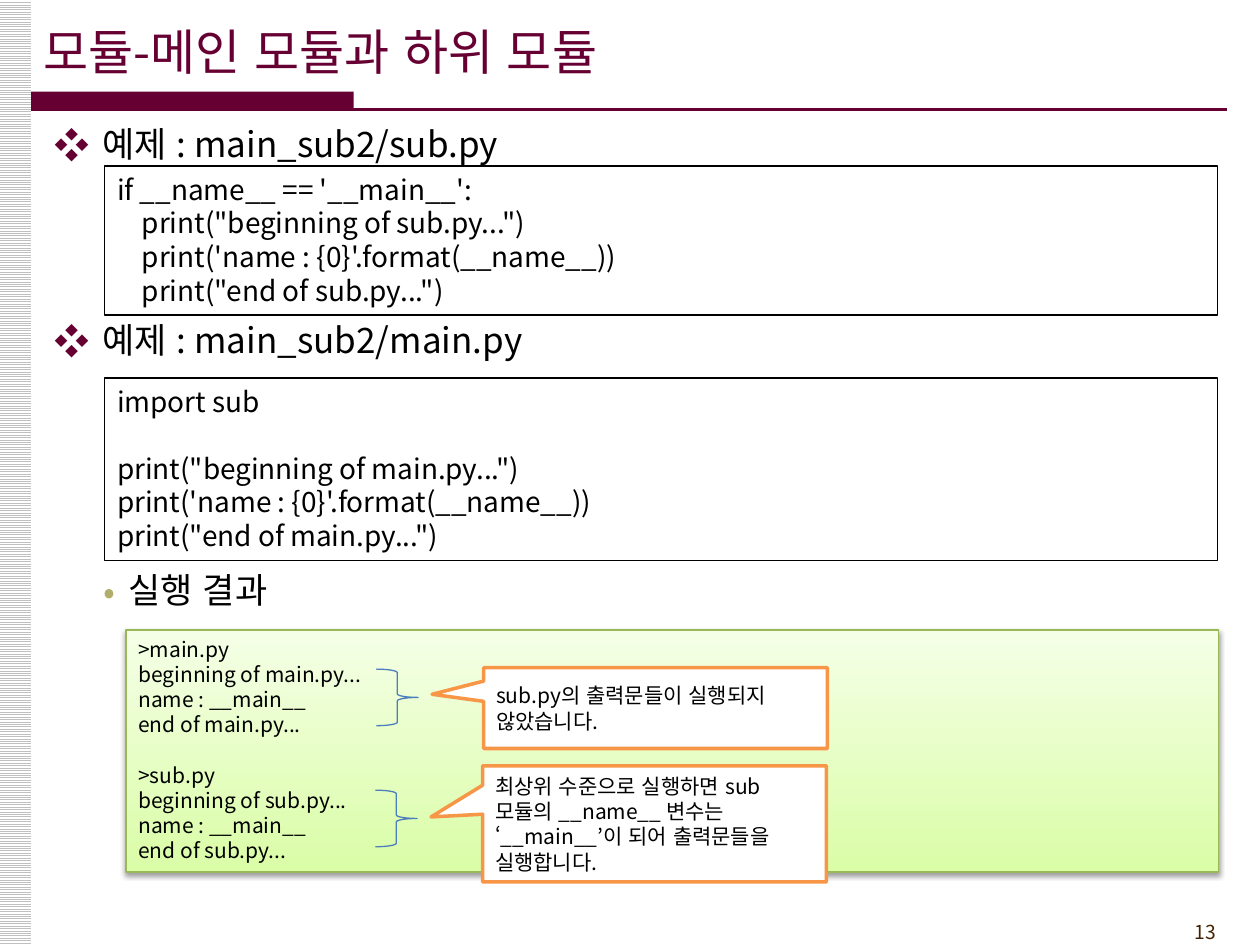
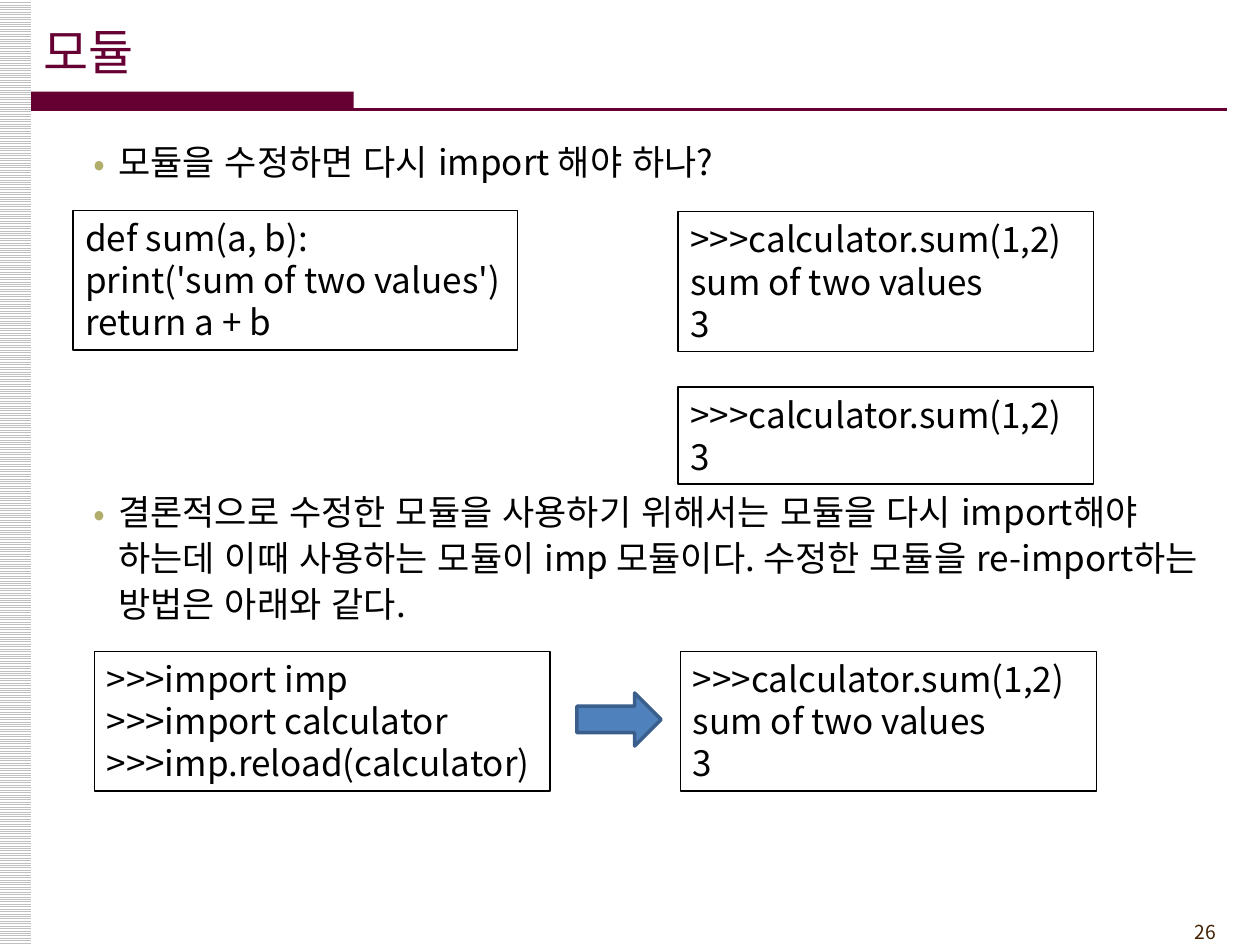
from lxml.etree import SubElement
from pptx import Presentation
from pptx.dml.color import RGBColor
from pptx.enum.dml import MSO_PATTERN
from pptx.enum.lang import MSO_LANGUAGE_ID as Language
from pptx.enum.shapes import MSO_CONNECTOR, MSO_SHAPE as Shape
from pptx.enum.text import MSO_ANCHOR as Anchor, MSO_AUTO_SIZE, PP_ALIGN as Align
from pptx.oxml.ns import qn
from pptx.util import Cm, Pt

FONT = "Noto Sans CJK KR"
LINE_HEIGHT = 1.2
CODE_INDENT = Cm(0.5)

BLACK = RGBColor(0x00, 0x00, 0x00)
WHITE = RGBColor(0xFF, 0xFF, 0xFF)
WINE = RGBColor(0x66, 0x00, 0x33)
KHAKI = RGBColor(0xB1, 0xAE, 0x6B)
BROWN = RGBColor(0x45, 0x21, 0x03)
SILVER = RGBColor(0xC0, 0xC0, 0xC0)
ORANGE = RGBColor(0xF7, 0x96, 0x46)
BLUE = RGBColor(0x4F, 0x81, 0xBD)
DARK_BLUE = RGBColor(0x3A, 0x5F, 0x8C)
BRACE_BLUE = RGBColor(0x4B, 0x7E, 0xBC)
GREEN = RGBColor(0x98, 0xB9, 0x55)
LIME = RGBColor(0xDA, 0xFD, 0xA7)
PALE_LIME = RGBColor(0xF5, 0xFF, 0xE7)

# Per list level: bullet, its colour, left margin, hanging indent, line spacing
LEVELS = [
    ("❖", WINE, Cm(0.97), Cm(-0.97), LINE_HEIGHT),
    ("•", KHAKI, Cm(1.5), Cm(-0.5), LINE_HEIGHT * 1.1),
]


class Lecture:
    """Holds the deck, its style and the page being filled."""

    def __init__(self):
        self.deck = Presentation()
        self.deck.slide_width, self.deck.slide_height = Cm(25.4), Cm(19.05)
        self.page = None

    def add_page(self, title, number):
        self.page = self.deck.slides.add_slide(self.deck.slide_layouts[1])
        margin = self.shape(Shape.RECTANGLE, 0, 0, 0.63, 19.05)
        margin.fill.patterned()
        margin.fill.pattern = MSO_PATTERN.LIGHT_HORIZONTAL
        margin.fill.fore_color.rgb = SILVER
        margin.fill.back_color.rgb = WHITE
        self.shape(Shape.RECTANGLE, 0.63, 1.85, 6.5, 0.36, fill=WINE)
        self.rule(0.63, 2.21, 24.74)

        heading = self.page.shapes.title
        self.place(heading, 0.63, 0.23, 21, 1.6)
        self.fill_text(heading, title, 28, WINE, Anchor.MIDDLE)

        footer = self.page.shapes.add_textbox(Cm(22.66), Cm(18.42), Cm(2.11), Cm(0.74))
        self.fill_text(footer, number, 11, BROWN, align=Align.RIGHT)

    @staticmethod
    def place(box, left, top, width, height):
        box.left, box.top, box.width, box.height = map(Cm, (left, top, width, height))

    @staticmethod
    def style(para, size, color, spacing=LINE_HEIGHT):
        para.line_spacing = Pt(round(size * spacing, 1))
        para.font.size = Pt(size)
        para.font.color.rgb = color
        para.font.name = FONT
        para.font.language_id = Language.KOREAN
        defaults = para._p.get_or_add_pPr().get_or_add_defRPr()
        SubElement(defaults, qn("a:ea")).set("typeface", FONT)

    def fill_text(self, box, text, size, color=BLACK, anchor=Anchor.TOP, align=Align.LEFT):
        """Fill a box; an empty line becomes spacing, leading blanks an indent."""
        frame = box.text_frame
        frame.word_wrap = True
        frame.auto_size = MSO_AUTO_SIZE.NONE
        frame.vertical_anchor = anchor
        para, gap = frame.paragraphs[0], 0
        for index, line in enumerate(text.split("\n")):
            if not line:
                gap = size * LINE_HEIGHT
                continue
            if index:
                para = frame.add_paragraph()
            para.text = line.lstrip()
            para.alignment = align
            para.space_before, gap = Pt(gap), 0
            if line.startswith(" "):
                para._p.get_or_add_pPr().set("marL", str(CODE_INDENT))
            self.style(para, size, color)

    def bullets(self, left, top, items):
        """Fill the body with (level, space before in points, text) items."""
        body = self.page.placeholders[1]
        self.place(body, left, top, 24.13, 15.88)
        frame = body.text_frame
        frame.auto_size = MSO_AUTO_SIZE.NONE
        for index, (level, gap, text) in enumerate(items):
            para = frame.add_paragraph() if index else frame.paragraphs[0]
            para.text = text
            para.level = level
            para.space_before = Pt(gap)
            char, color, margin, hanging, spacing = LEVELS[level]
            props = para._p.get_or_add_pPr()
            props.set("marL", str(margin))
            props.set("indent", str(hanging))
            bullet_color = SubElement(props, qn("a:buClr"))
            SubElement(bullet_color, qn("a:srgbClr")).set("val", str(color))
            SubElement(props, qn("a:buFont")).set("typeface", FONT)
            SubElement(props, qn("a:buChar")).set("char", char)
            self.style(para, 20, BLACK, spacing)

    def shape(self, kind, left, top, width, height, fill=None, line=None, weight=0.75):
        box = self.page.shapes.add_shape(kind, *map(Cm, (left, top, width, height)))
        box.shadow.inherit = False
        if fill is None:
            box.fill.background()
        else:
            box.fill.solid()
            box.fill.fore_color.rgb = fill
        if line is None:
            box.line.fill.background()
        else:
            box.line.color.rgb = line
            box.line.width = Pt(weight)
        return box

    def rule(self, left, top, right):
        line = self.page.shapes.add_connector(
            MSO_CONNECTOR.STRAIGHT, Cm(left), Cm(top), Cm(right), Cm(top))
        line.line.color.rgb = WINE
        line.line.width = Pt(1.5)
        SubElement(line._element.spPr, qn("a:effectLst"))

    def code(self, left, top, width, height, text, size):
        box = self.shape(Shape.RECTANGLE, left, top, width, height, line=BLACK)
        self.fill_text(box, text, size)

    def console(self, left, top, width, height, text):
        """Program output on a green gradient with a soft shadow."""
        box = self.shape(Shape.RECTANGLE, left, top, width, height, line=GREEN)
        box.fill.gradient()
        box.fill.gradient_angle = 90
        for stop, color in zip(box.fill.gradient_stops, (LIME, PALE_LIME)):
            stop.color.rgb = color
        effects = box._element.spPr.find(qn("a:effectLst"))
        shadow = SubElement(effects, qn("a:outerShdw"), blurRad=str(Pt(3.1)),
                            dist=str(Pt(1.6)), dir="5400000", rotWithShape="0")
        color = SubElement(shadow, qn("a:srgbClr"), val=str(BLACK))
        SubElement(color, qn("a:alpha"), val="38000")
        self.fill_text(box, text, 12)

    def brace(self, left, top):
        self.shape(Shape.RIGHT_BRACE, left, top, 0.84, 1.14, line=BRACE_BLUE)

    def callout(self, left, top, height, tip, text):
        box = self.shape(Shape.RECTANGULAR_CALLOUT, left, top, 6.93, height,
                         WHITE, ORANGE, 2)
        box.adjustments[0], box.adjustments[1] = tip
        self.fill_text(box, text, 12, anchor=Anchor.MIDDLE)

    def arrow(self, left, top, width, height):
        self.shape(Shape.RIGHT_ARROW, left, top, width, height, BLUE, DARK_BLUE, 2)


SUB_CODE = """if __name__ == '__main__':
    print("beginning of sub.py...")
    print('name : {0}'.format(__name__))
    print("end of sub.py...")"""

MAIN_CODE = """import sub

print("beginning of main.py...")
print('name : {0}'.format(__name__))
print("end of main.py...")"""

RUN_OUTPUT = """>main.py
beginning of main.py...
name : __main__
end of main.py...

>sub.py
beginning of sub.py...
name : __main__
end of sub.py..."""

SUM_CODE = "def sum(a, b):\nprint('sum of two values')\nreturn a + b"
OLD_RESULT = ">>>calculator.sum(1,2)\n3"
NEW_RESULT = ">>>calculator.sum(1,2)\nsum of two values\n3"
RELOAD_CODE = ">>>import imp\n>>>import calculator\n>>>imp.reload(calculator)"


def add_main_and_sub(lecture):
    lecture.add_page("모듈-메인 모듈과 하위 모듈", "13")
    lecture.bullets(0.84, 2.34, [
        (0, 0, "예제 : main_sub2/sub.py"),
        (0, 88, "예제 : main_sub2/main.py"),
        (1, 116.5, "실행 결과"),
    ])
    lecture.code(2.11, 3.35, 22.43, 3, SUB_CODE, 16)
    lecture.code(2.11, 7.62, 22.43, 3.68, MAIN_CODE, 16)
    lecture.console(2.54, 12.7, 22.02, 4.88, RUN_OUTPUT)
    lecture.brace(7.59, 13.49)
    lecture.callout(9.75, 13.46, 1.63, (-0.65, -0.17),
                    "sub.py의 출력문들이 실행되지 않았습니다.")
    lecture.brace(7.57, 15.93)
    lecture.callout(9.73, 15.44, 2.34, (-0.65, -0.06),
                    "최상위 수준으로 실행하면 sub 모듈의 __name__ 변수는 "
                    "‘__main__’이 되어 출력문들을 실행합니다.")


def add_reload(lecture):
    lecture.add_page("모듈", "26")
    lecture.bullets(0.63, 2.62, [
        (1, 0, "모듈을 수정하면 다시 import 해야 하나?"),
        (1, 173.5, "결론적으로 수정한 모듈을 사용하기 위해서는 모듈을 다시 import해야 "
                   "하는데 이때 사용하는 모듈이 imp 모듈이다. 수정한 모듈을 "
                   "re-import하는 방법은 아래와 같다."),
    ])
    lecture.code(1.47, 4.24, 8.97, 2.82, SUM_CODE, 20)
    lecture.code(13.67, 4.27, 8.38, 2.82, NEW_RESULT, 20)
    lecture.code(13.67, 7.8, 8.38, 1.96, OLD_RESULT, 20)
    lecture.code(1.9, 13.13, 9.19, 2.82, RELOAD_CODE, 20)
    lecture.code(13.72, 13.13, 8.38, 2.82, NEW_RESULT, 20)
    lecture.arrow(11.63, 13.97, 1.7, 1.07)


def main():
    lecture = Lecture()
    add_main_and_sub(lecture)
    add_reload(lecture)
    lecture.deck.save("out.pptx")


if __name__ == "__main__":
    main()
